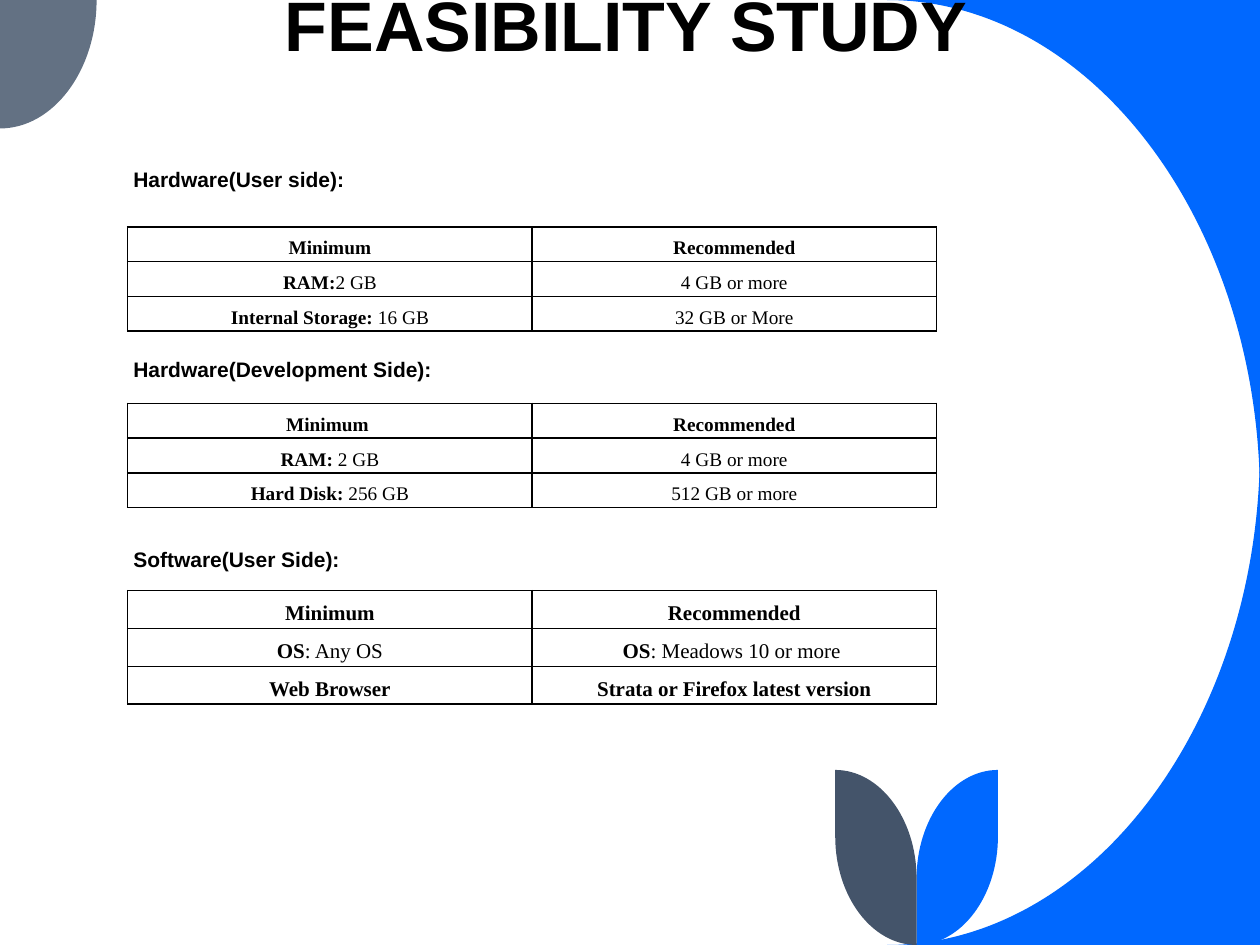
from lxml import etree
from pptx import Presentation
from pptx.dml.color import RGBColor
from pptx.enum.text import MSO_ANCHOR, PP_ALIGN
from pptx.oxml.ns import qn
from pptx.util import Pt

LEFT, CENTER = PP_ALIGN.LEFT, PP_ALIGN.CENTER
TOP, BOTTOM = MSO_ANCHOR.TOP, MSO_ANCHOR.BOTTOM
BLUE = RGBColor(0x00, 0x68, 0xFF)
GREY = RGBColor(0x63, 0x71, 0x83)
SLATE = RGBColor(0x44, 0x54, 0x6A)
BLACK = RGBColor(0, 0, 0)

TITLE = "FEASIBILITY STUDY"
SECTIONS = [
    {"heading": "Hardware(User side):", "top": 129.6, "size": 11, "height": 59, "rows": [
        [("Minimum", ""), ("Recommended", "")],
        [("RAM:", "2 GB"), ("", "4 GB or more")],
        [("Internal Storage: ", "16 GB"), ("", "32 GB or More")],
    ]},
    {"heading": "Hardware(Development Side):", "top": 230.5, "size": 11, "height": 59, "rows": [
        [("Minimum ", ""), ("Recommended", "")],
        [("RAM: ", "2 GB"), ("", "4 GB or more")],
        [("Hard Disk: ", "256 GB"), ("", "512 GB or more")],
    ]},
    {"heading": "Software(User Side):", "top": 337.5, "size": 12, "height": 64.8, "rows": [
        [("Minimum", ""), ("Recommended", "")],
        [("OS", ": Any OS"), ("OS", ": Meadows 10 or more ")],
        [("Web Browser", ""), ("Strata or Firefox latest version", "")],
    ]},
]

WIDTH, HEIGHT = 720, 540
HEADING_GAP = 94.2
TABLE_LEFT, COLUMN_WIDTH = 73, 231.1
LEAF_STEM, LEAF_WIDTH, LEAF_TOP, LEAF_RADIUS = 523.8, 46.5, 440, 62
CURVE = 0.55


def quarter(start, corner, end):
    controls = [tuple(p + CURVE * (c - p) for p, c in zip(point, corner)) for point in (start, end)]
    return [*controls, end]


def add_outline(slide, color, *parts):
    points = [point for part in parts for point in (part if isinstance(part, list) else [part])]
    points = [(Pt(x), Pt(y)) for x, y in points]
    builder = slide.shapes.build_freeform(*points[0], scale=1.0)
    builder.add_line_segments(points[1:], close=True)
    shape = builder.convert_to_shape()
    segments = list(shape.element.iter(qn("a:lnTo")))
    position = 0
    for part in parts[1:]:
        if isinstance(part, list):
            curve = etree.Element(qn("a:cubicBezTo"))
            segments[position].addprevious(curve)
            for segment in segments[position:position + 3]:
                curve.append(segment[0])
                segment.getparent().remove(segment)
            position += 3
        else:
            position += 1
    shape.shadow.inherit = False
    shape.fill.solid()
    shape.fill.fore_color.rgb = color
    shape.line.fill.background()


def add_leaf(slide, color, width):
    tip = LEAF_STEM + width
    lower, upper = HEIGHT - LEAF_RADIUS, LEAF_TOP + LEAF_RADIUS
    add_outline(slide, color, (tip, LEAF_TOP), (tip, lower),
                quarter((tip, lower), (tip, HEIGHT), (LEAF_STEM, HEIGHT)),
                (LEAF_STEM, upper),
                quarter((LEAF_STEM, upper), (LEAF_STEM, LEAF_TOP), (tip, LEAF_TOP)))


def write(paragraph, bold, regular="", font="Arial", size=12, align=LEFT,
          spacing=None, before=0, after=0):
    paragraph.alignment = align
    paragraph.line_spacing = spacing
    paragraph.space_before = Pt(before)
    paragraph.space_after = Pt(after)
    for text, is_bold in ((bold, True), (regular, False)):
        if text:
            run = paragraph.add_run()
            run.text = text
            run.font.name = font
            run.font.size = Pt(size)
            run.font.bold = is_bold
            run.font.color.rgb = BLACK


def add_frame(slide, left, top, width, height, anchor, margin_top, margin_bottom):
    frame = slide.shapes.add_textbox(Pt(left), Pt(top), Pt(width), Pt(height)).text_frame
    frame.word_wrap = True
    frame.vertical_anchor = anchor
    frame.margin_top, frame.margin_bottom = Pt(margin_top), Pt(margin_bottom)
    return frame


def add_borders(cell):
    properties = cell._tc.get_or_add_tcPr()
    for position, side in enumerate(("a:lnL", "a:lnR", "a:lnT", "a:lnB")):
        line = etree.Element(qn(side), w=str(Pt(1)))
        fill = etree.SubElement(line, qn("a:solidFill"))
        etree.SubElement(fill, qn("a:srgbClr"), val=str(BLACK))
        properties.insert(position, line)


def add_requirements(slide, section):
    rows = section["rows"]
    height = Pt(section["height"])
    graphic_frame = slide.shapes.add_table(
        len(rows), 2, Pt(TABLE_LEFT), Pt(section["top"]), Pt(2 * COLUMN_WIDTH), height)
    table = graphic_frame.table
    table.first_row = table.horz_banding = False
    for column in table.columns:
        column.width = Pt(COLUMN_WIDTH)
    for row, contents in zip(table.rows, rows):
        row.height = Pt(0)
        for cell, (bold, regular) in zip(row.cells, contents):
            cell.margin_left = cell.margin_right = Pt(5)
            cell.margin_top = cell.margin_bottom = 0
            cell.fill.background()
            add_borders(cell)
            write(cell.text_frame.paragraphs[0], bold, regular, font="Times New Roman",
                  size=section["size"], align=CENTER, spacing=1.5, after=10)
    graphic_frame.height = height


def main():
    presentation = Presentation()
    presentation.slide_width, presentation.slide_height = Pt(WIDTH), Pt(HEIGHT)
    slide = presentation.slides.add_slide(presentation.slide_layouts[6])

    add_outline(slide, BLUE, (WIDTH, 0), (506.9, 0),
                quarter((506.9, 0), (WIDTH, 0), (WIDTH, 284.4)))
    add_outline(slide, BLUE, (WIDTH, 255.6),
                quarter((WIDTH, 255.6), (WIDTH, HEIGHT), (506.9, HEIGHT)), (WIDTH, HEIGHT))
    add_outline(slide, GREY, (0, 0), (55.2, 0),
                quarter((55.2, 0), (55.2, 73.4), (0, 73.4)))
    add_leaf(slide, BLUE, LEAF_WIDTH)
    add_leaf(slide, SLATE, -LEAF_WIDTH)

    title = add_frame(slide, 69.1, 30.2, 577.4, 104.4, BOTTOM, 3.6, 96.6)
    write(title.paragraphs[0], TITLE, size=40, align=CENTER, spacing=0.9)
    for section in SECTIONS:
        add_requirements(slide, section)

    headings = add_frame(slide, 69.1, 90, 521.3, 312.5, TOP, 5.4, 3.6)
    for index, section in enumerate(SECTIONS):
        paragraph = headings.add_paragraph() if index else headings.paragraphs[0]
        write(paragraph, section["heading"], before=HEADING_GAP if index else 0)

    presentation.save("out.pptx")


if __name__ == "__main__":
    main()
